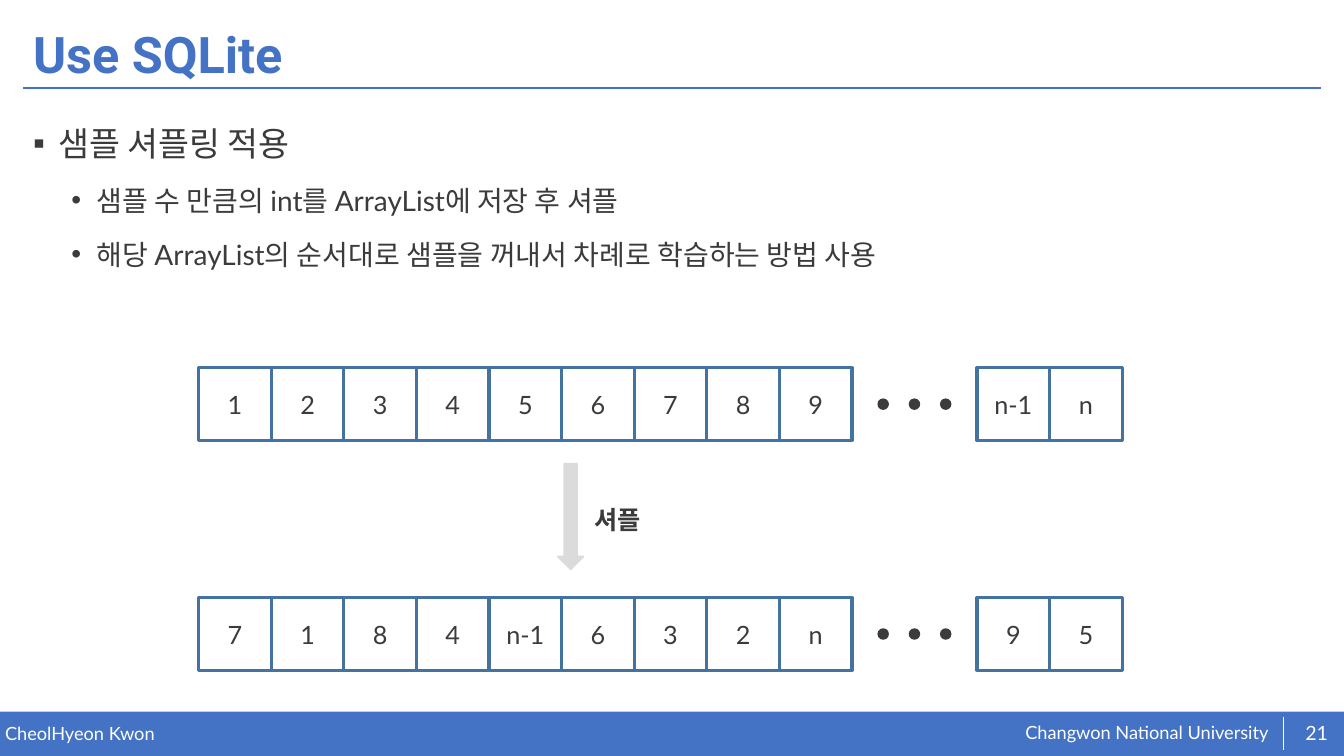
import lxml.etree
import pptx
import pptx.dml.color
import pptx.enum.shapes
import pptx.enum.text
import pptx.oxml
import pptx.oxml.ns
import pptx.util

RGBColor = pptx.dml.color.RGBColor
Inches, Pt = pptx.util.Inches, pptx.util.Pt
SHAPE = pptx.enum.shapes.MSO_SHAPE
ALIGN = pptx.enum.text.PP_ALIGN
ANCHOR = pptx.enum.text.MSO_ANCHOR
qn = pptx.oxml.ns.qn

BLUE = RGBColor(0x44, 0x72, 0xC4)
EDGE = RGBColor(0x43, 0x73, 0x9E)
DARK = RGBColor(0x3B, 0x3B, 0x3B)
GREY = RGBColor(0xDB, 0xDB, 0xDB)
WHITE = RGBColor(0xFF, 0xFF, 0xFF)

WIDE, HIGH = 13.33, 7.5
CELL = 0.72
HEAD, TAIL = 9, 2
GAP = 1.24
DOTS = 3

TITLE = dict(name="Roboto", size=Pt(36), bold=True)
FOOT = dict(name="Lato", size=Pt(13))
PAGE = dict(name="Lato", size=Pt(14))
ITEM = dict(name="Lato", size=Pt(18))
LABEL = dict(ITEM, bold=True)
LEVELS = [
    dict(mark="▪", left=0.25, font=dict(name="Lato", size=Pt(24)), before=10),
    dict(mark="•", left=0.63, font=dict(name="Lato", size=Pt(20)), before=5),
]
POINTS = [
    (0, "샘플 셔플링 적용"),
    (1, "샘플 수 만큼의 int를 ArrayList에 저장 후 셔플"),
    (1, "해당 ArrayList의 순서대로 샘플을 꺼내서 차례로 학습하는 방법 사용"),
]
BEFORE = ["1", "2", "3", "4", "5", "6", "7", "8", "9", "n-1", "n"]
AFTER = ["7", "1", "8", "4", "n-1", "6", "3", "2", "n", "9", "5"]


def assign(target, values):
    for key, value in values.items():
        setattr(target, key, value)


def write(para, text, font, color):
    run = para.add_run()
    run.text = text
    assign(run.font, font)
    run.font.color.rgb = color


def add_text(slide, box, text, font, color, pad=True, **frame):
    """Add a text box; without pad its insets are zero."""
    area = slide.shapes.add_textbox(*map(Inches, box)).text_frame
    area.word_wrap = True
    if not pad:
        sides = ("left", "top", "right", "bottom")
        assign(area, {"margin_" + side: 0 for side in sides})
    assign(area, frame)
    if text:
        write(area.paragraphs[0], text, font, color)
    return area


def add_block(slide, kind, box, fill=None, line=None, width=1):
    block = slide.shapes.add_shape(kind, *map(Inches, box))
    block.shadow.inherit = False
    if fill is None:
        block.fill.background()
    else:
        block.fill.solid()
        block.fill.fore_color.rgb = fill
    if line is None:
        block.line.fill.background()
    else:
        block.line.color.rgb = line
        block.line.width = Pt(width)
    return block


def add_rule(slide, start, end, color, width):
    rule = slide.shapes.add_connector(
        pptx.enum.shapes.MSO_CONNECTOR.STRAIGHT, *map(Inches, start + end))
    rule.line.color.rgb = color
    rule.line.width = Pt(width)
    lxml.etree.SubElement(rule._element.spPr, qn("a:effectLst"))


def add_header(slide, box):
    left, top, width, height = box
    area = add_text(slide, box, "Use SQLite", TITLE, BLUE,
                    vertical_anchor=ANCHOR.MIDDLE)
    area.paragraphs[0].line_spacing = 0.9
    base = top + 0.9 * height
    add_rule(slide, (left, base), (left + width, base), BLUE, 2)


def add_footer(slide, box):
    left, top, width, height = box
    add_block(slide, SHAPE.RECTANGLE, box, BLUE)
    right = left + width
    add_text(slide, (left + 0.05, top + height / 4, width / 2, height / 2),
             "CheolHyeon Kwon", FOOT, WHITE, pad=False)
    add_text(slide, (right - 3.16, top + 0.1, 2.5, height / 2),
             "Changwon National University", FOOT, WHITE, pad=False)
    split = right - 0.6
    add_rule(slide, (split, top + 0.05), (split, top + height - 0.06), WHITE, 0.5)
    page = add_text(slide, (right - 0.51, top + 0.01, 0.48, 0.4), "21", PAGE,
                    WHITE, pad=False, vertical_anchor=ANCHOR.MIDDLE)
    page.paragraphs[0].alignment = ALIGN.CENTER


def add_points(slide, box):
    area = add_text(slide, box, "", {}, DARK)
    for index, (level, text) in enumerate(POINTS):
        look = LEVELS[level]
        para = area.add_paragraph() if index else area.paragraphs[0]
        props = para._p.get_or_add_pPr()
        props.set("marL", str(Inches(look["left"])))
        props.set("indent", str(Inches(-0.25)))
        lxml.etree.SubElement(props, qn("a:buFont"), typeface="Arial")
        lxml.etree.SubElement(props, qn("a:buChar"), char=look["mark"])
        para.level = level
        para.line_spacing = 1.4
        if index:
            para.space_before = Pt(look["before"])
        write(para, text, look["font"], DARK)


def add_list(slide, box, items):
    """Draw the first cells, an ellipsis and the last cells in one row."""
    left, top, width, size = box
    for col, item in enumerate(items):
        shift = GAP if col >= HEAD else 0
        cell = add_block(slide, SHAPE.RECTANGLE,
                         (left + col * size + shift, top, size, size),
                         line=EDGE, width=2.25)
        area = cell.text_frame
        area.vertical_anchor = ANCHOR.MIDDLE
        area.paragraphs[0].alignment = ALIGN.CENTER
        write(area.paragraphs[0], item, ITEM, DARK)
    step, dot = GAP / (DOTS + 1), 0.1
    for place in range(1, DOTS + 1):
        add_block(slide, SHAPE.OVAL,
                  (left + HEAD * size + place * step - dot / 2,
                   top + size / 2 - dot / 2, dot, dot), DARK, DARK)


def add_shuffle(slide, box):
    left, top, width, height = box
    add_block(slide, SHAPE.DOWN_ARROW, (left, top, 0.26, height), GREY, GREY)
    add_text(slide, (left + 0.27, top + height / 3, width - 0.27, 0.4),
             "셔플", LABEL, DARK)


def main():
    deck = pptx.Presentation()
    deck.slide_width, deck.slide_height = Inches(WIDE), Inches(HIGH)
    slide = deck.slides.add_slide(deck.slide_layouts[6])
    side, foot = 0.23, 0.44
    inner = WIDE - 2 * side
    add_footer(slide, (0, HIGH - foot, WIDE, foot))
    add_header(slide, (side, 0.18, inner, 0.77))
    add_points(slide, (side, 1.01, inner, 2.3))
    span = (HEAD + TAIL) * CELL + GAP
    for top, items in ((3.65, BEFORE), (5.93, AFTER)):
        add_list(slide, (1.97, top, span, CELL), items)
    add_shuffle(slide, (5.53, 4.6, 2, 1.05))
    deck.save("out.pptx")


if __name__ == "__main__":
    main()
